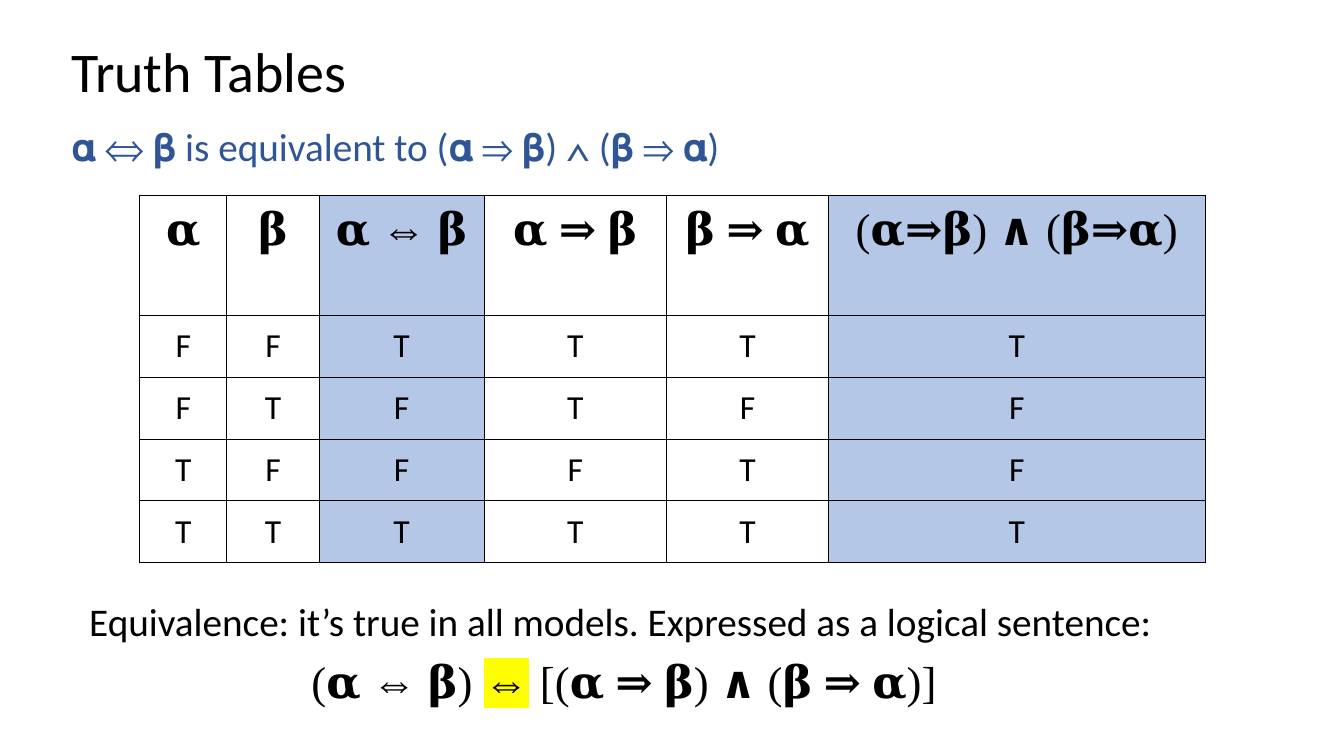
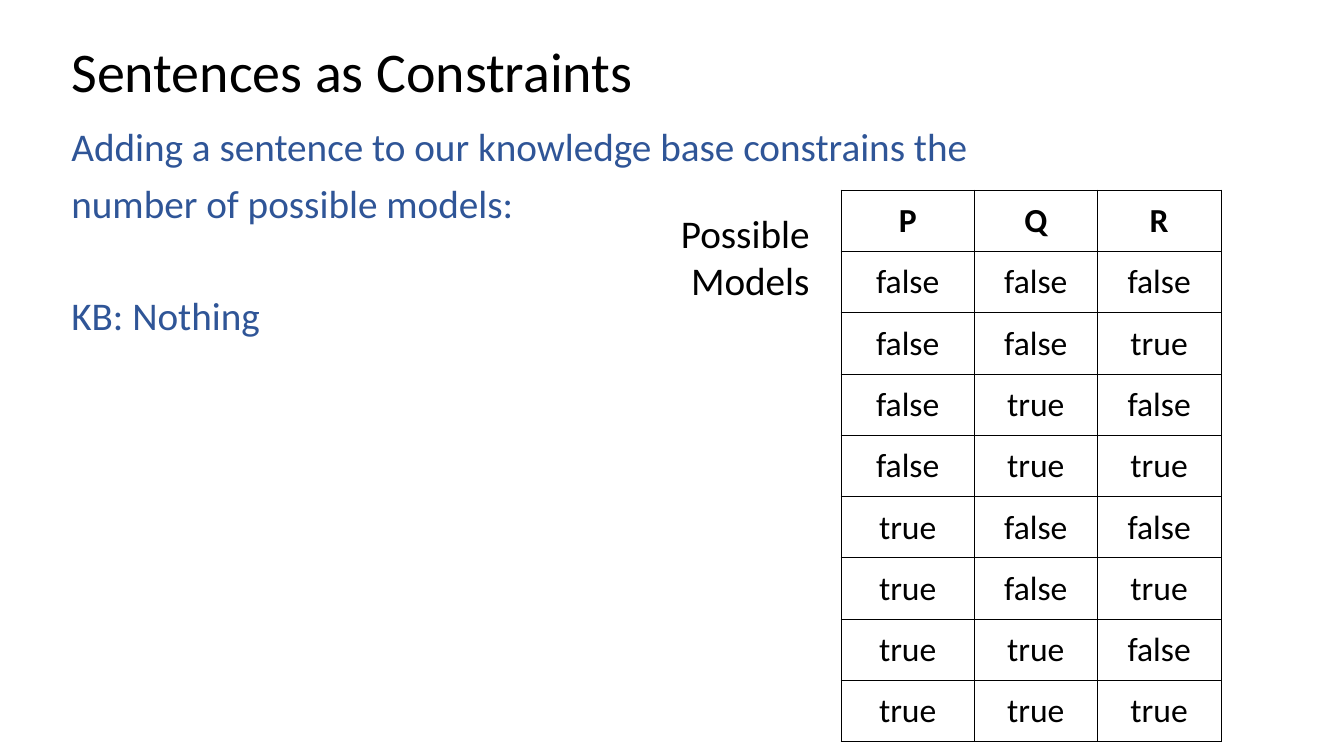
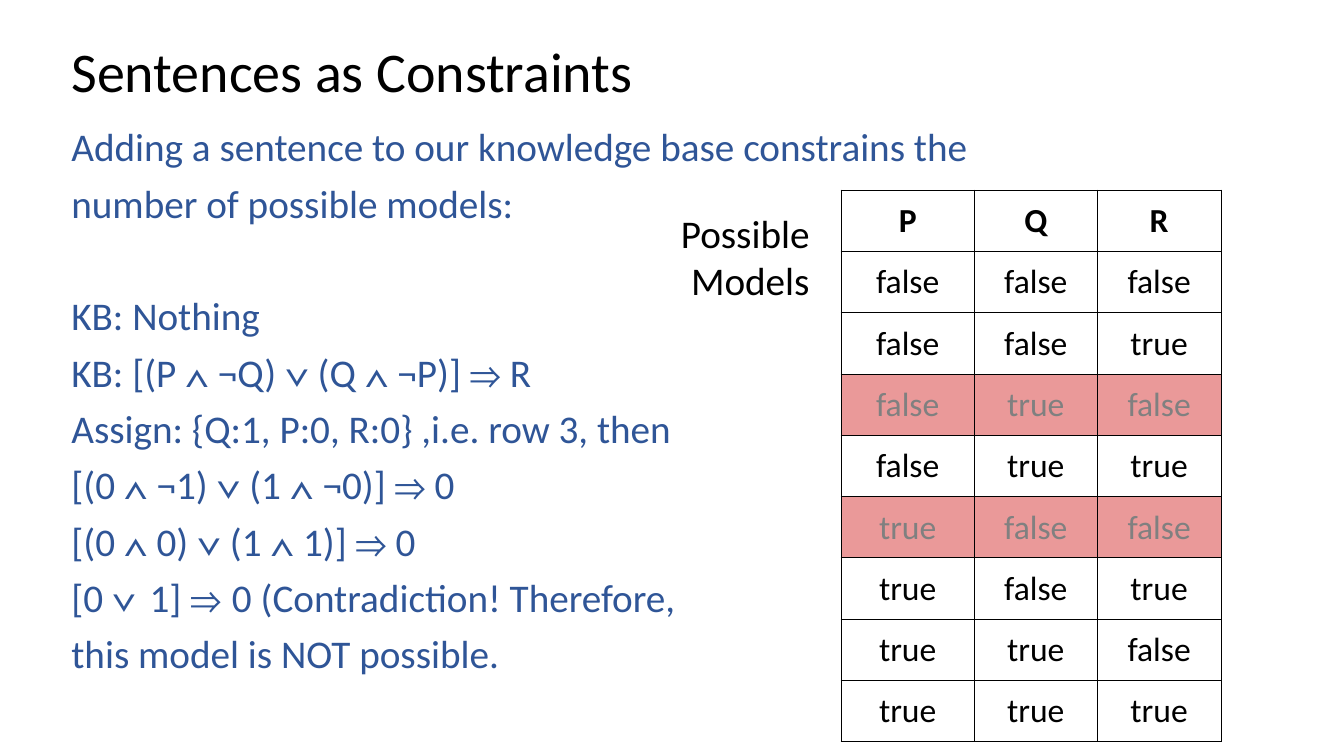
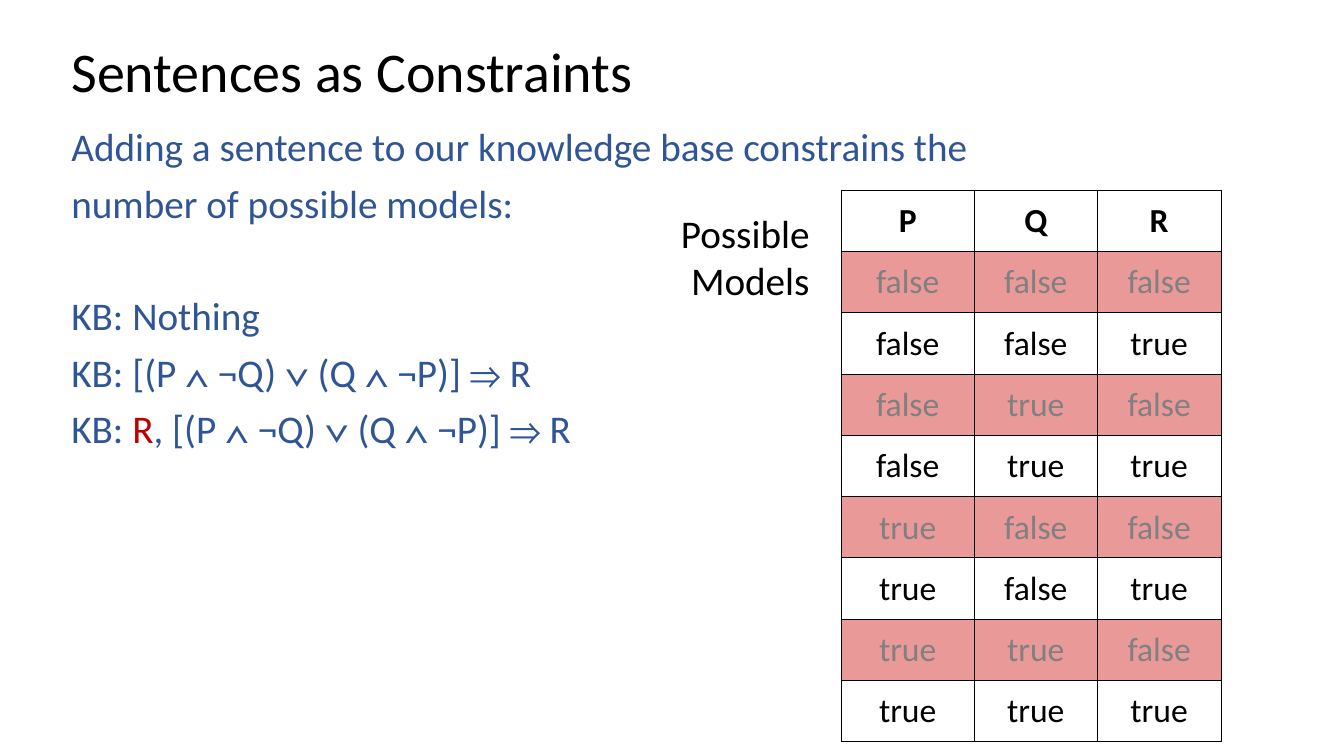
"""Build four slides on truth tables and knowledge base constraints."""
import itertools

import lxml.etree
import pptx
import pptx.dml.color
import pptx.enum.text
import pptx.oxml.ns
import pptx.util

PX = 9525
COLORS = {"black": "000000", "blue": "2F5597", "red": "C00000", "gray": "808080",
          "column": "B4C7E7", "excluded": "EA9999", "marker": "FFFF00"}
ALIGN = pptx.enum.text.PP_ALIGN
ANCHOR = pptx.enum.text.MSO_ANCHOR
NO_GRID = "{2D5ABB26-0587-4C30-8999-92F81FD0307C}"
qn = pptx.oxml.ns.qn
SubElement = lxml.etree.SubElement


def write(p, text, size=28, font="Calibri", color="black", bold=False,
          align=ALIGN.LEFT, before=0, spacing=1.0, marker=None, accent=None):
    """Write text in a paragraph; the pieces of a list alternate plain and emphasised."""
    p.alignment = align
    p.space_before = pptx.util.Pt(before)
    p.line_spacing = spacing
    for i, piece in enumerate([text] if isinstance(text, str) else text):
        r = p.add_run()
        r.text = piece
        r.font.size = pptx.util.Pt(size)
        r.font.name = font
        r.font.bold = bold
        emphasised = i % 2 == 1
        name = accent if emphasised and accent else color
        r.font.color.rgb = pptx.dml.color.RGBColor.from_string(COLORS[name])
        if emphasised and marker:
            rPr = r.font._element
            highlight = SubElement(rPr, qn("a:highlight"))
            SubElement(highlight, qn("a:srgbClr"), val=COLORS[marker])
            rPr.find(qn("a:solidFill")).addnext(highlight)


def add_grid(s, x, y, widths, heights, rows):
    """Add a bordered table; each cell is a text, a fill name and a format."""
    frame = s.shapes.add_table(len(rows), len(widths), x * PX, y * PX,
                               sum(widths) * PX, sum(heights) * PX)
    table = frame.table
    table.first_row = table.horz_banding = False
    table._tbl.tblPr.find(qn("a:tableStyleId")).text = NO_GRID
    for column, width in zip(table.columns, widths):
        column.width = width * PX
    for row, height, cells in zip(table.rows, heights, rows):
        row.height = height * PX
        for cell, (text, fill, style) in zip(row.cells, cells):
            cell.margin_left = cell.margin_right = 10 * PX
            cell.margin_top = cell.margin_bottom = 10 * PX
            tcPr = cell._tc.get_or_add_tcPr()
            for side in ("lnL", "lnR", "lnT", "lnB"):
                ln = SubElement(tcPr, qn("a:" + side), w=str(PX))
                solid = SubElement(ln, qn("a:solidFill"))
                SubElement(solid, qn("a:srgbClr"), val=COLORS["black"])
            if fill:
                cell.fill.solid()
                cell.fill.fore_color.rgb = pptx.dml.color.RGBColor.from_string(COLORS[fill])
            else:
                cell.fill.background()
            write(cell.text_frame.paragraphs[0], text, align=ALIGN.CENTER, **style)


TITLE = {"size": 40, "spacing": 0.9}
BODY = {"color": "blue", "before": 10, "spacing": 0.9}
FORMULA = {"size": 32, "font": "Times New Roman", "before": 6.4}
LABEL = {"align": ALIGN.RIGHT}

INTRO = [("Adding a sentence to our knowledge base constrains the", BODY),
         ("number of possible models:", BODY),
         ("KB: Nothing", BODY | {"before": 50})]
RULE = "[(P ∧ ¬Q) ∨ (Q ∧ ¬P)] ⇒ R"
PROOF = ["KB: " + RULE,
         "Assign: {Q:1, P:0, R:0} ,i.e. row 3, then",
         "[(0 ∧ ¬1) ∨ (1 ∧ ¬0)] ⇒ 0",
         "[(0 ∧ 0) ∨ (1 ∧ 1)] ⇒ 0",
         "[0 ∨ 1] ⇒ 0 (Contradiction! Therefore,",
         "this model is NOT possible."]

headers = ["𝛂", "𝛃", "𝛂 ⇔ 𝛃", "𝛂 ⇒ 𝛃", "𝛃 ⇒ 𝛂", "(𝛂⇒𝛃) ∧ (𝛃⇒𝛂)"]
fills = [None, None, "column", None, None, "column"]
truth_rows = [[(text, fill, FORMULA) for text, fill in zip(headers, fills)]]
for a, b in itertools.product([False, True], repeat=2):
    values = [a, b, a == b, not a or b, not b or a, a == b]
    truth_rows.append([("FT"[value], fill, {"size": 24})
                       for value, fill in zip(values, fills)])
truth_grid = (133, 186, [83, 88, 157, 174, 154, 359], [114] + [58] * 4, truth_rows)

equivalence = [
    ("Equivalence: it’s true in all models. Expressed as a logical sentence:", {}),
    (["(𝛂 ⇔ 𝛃) ", "⇔", " [(𝛂 ⇒ 𝛃) ∧ (𝛃 ⇒ 𝛂)]"],
     FORMULA | {"align": ALIGN.CENTER, "marker": "marker"})]
equivalence_box = (75, 559, 1039, 153, 10, ANCHOR.TOP, equivalence)
models_box = (551, 189, 230, 155, 10, ANCHOR.TOP, [("Possible", LABEL), ("Models", LABEL)])

slides = [("Truth Tables", 1104, [("𝛂 ⇔ 𝛃 is equivalent to (𝛂 ⇒ 𝛃) ∧ (𝛃 ⇒ 𝛂)", BODY)],
           equivalence_box, truth_grid)]

constraint_slides = [
    ([], lambda p, q, r: False),
    ([(line, BODY) for line in PROOF], lambda p, q, r: p != q and not r),
    ([(PROOF[0], BODY), (["KB: ", "R", ", " + RULE], BODY | {"accent": "red"})],
     lambda p, q, r: not r)]
for lines, excluded in constraint_slides:
    model_rows = [[(text, None, {"size": 24, "bold": True}) for text in "PQR"]]
    for model in itertools.product([False, True], repeat=3):
        out = excluded(*model)
        style = {"size": 24, "color": "gray" if out else "black"}
        model_rows.append([("true" if value else "false", "excluded" if out else None, style)
                           for value in model])
    slides.append(("Sentences as Constraints", 952, INTRO + lines, models_box,
                   (801, 181, [127, 117, 118], [58] * 9, model_rows)))

prs = pptx.Presentation()
prs.slide_width = 1280 * PX
prs.slide_height = 720 * PX
for title, body_width, body, note_box, grid in slides:
    s = prs.slides.add_slide(prs.slide_layouts[6])
    boxes = [(58, 38, 1104, 66, 5, ANCHOR.MIDDLE, [(title, TITLE)]),
             (58, 117, body_width, 214, 5, ANCHOR.TOP, body),
             note_box]
    add_grid(s, *grid)
    for x, y, w, h, margin, anchor, paragraphs in boxes:
        sp = s.shapes.add_textbox(x * PX, y * PX, w * PX, h * PX)
        tf = sp.text_frame
        tf.word_wrap = True
        tf.vertical_anchor = anchor
        tf.margin_left = tf.margin_right = 10 * PX
        tf.margin_top = tf.margin_bottom = margin * PX
        for i, (text, style) in enumerate(paragraphs):
            p = tf.add_paragraph() if i else tf.paragraphs[0]
            write(p, text, **style)

prs.save("out.pptx")
